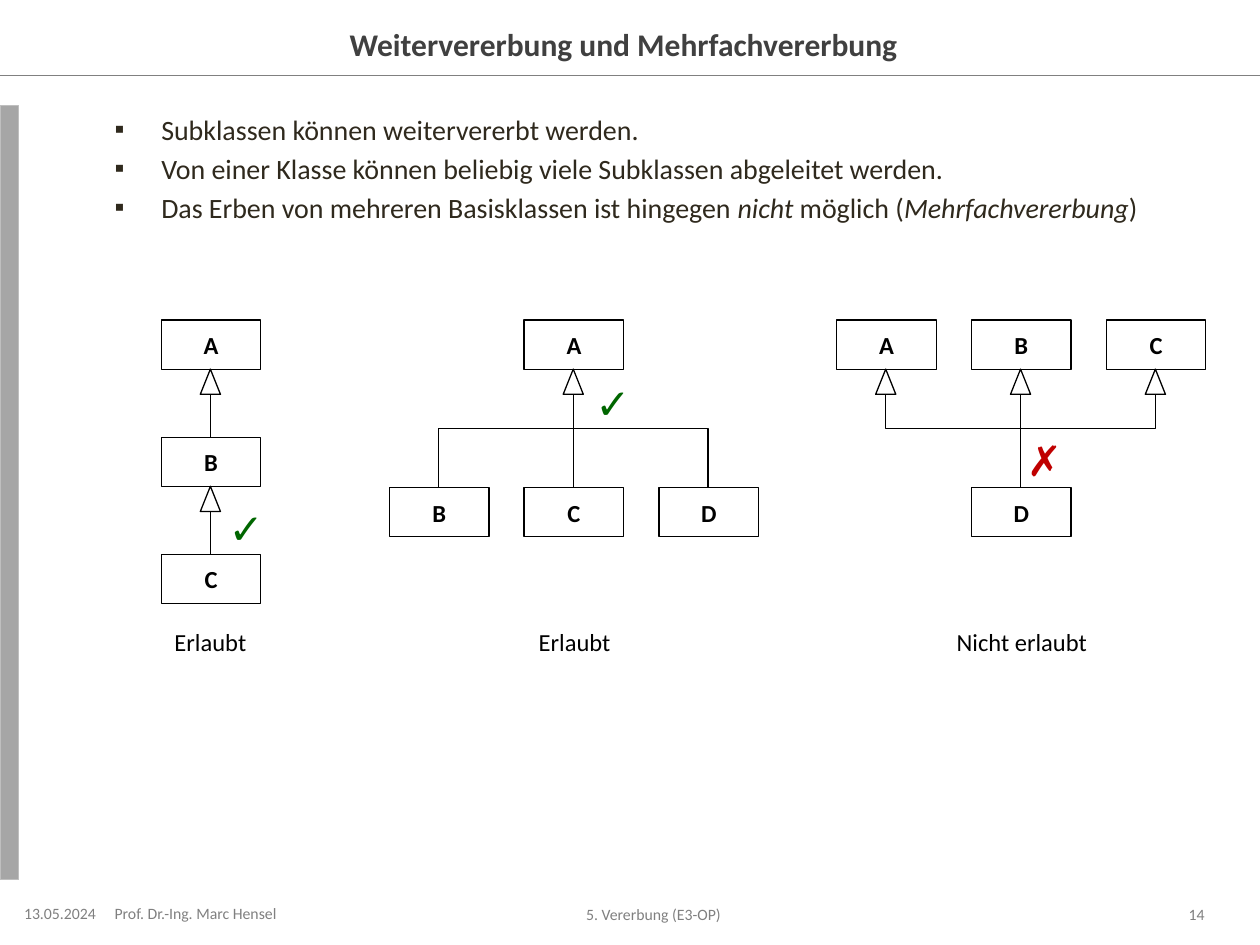
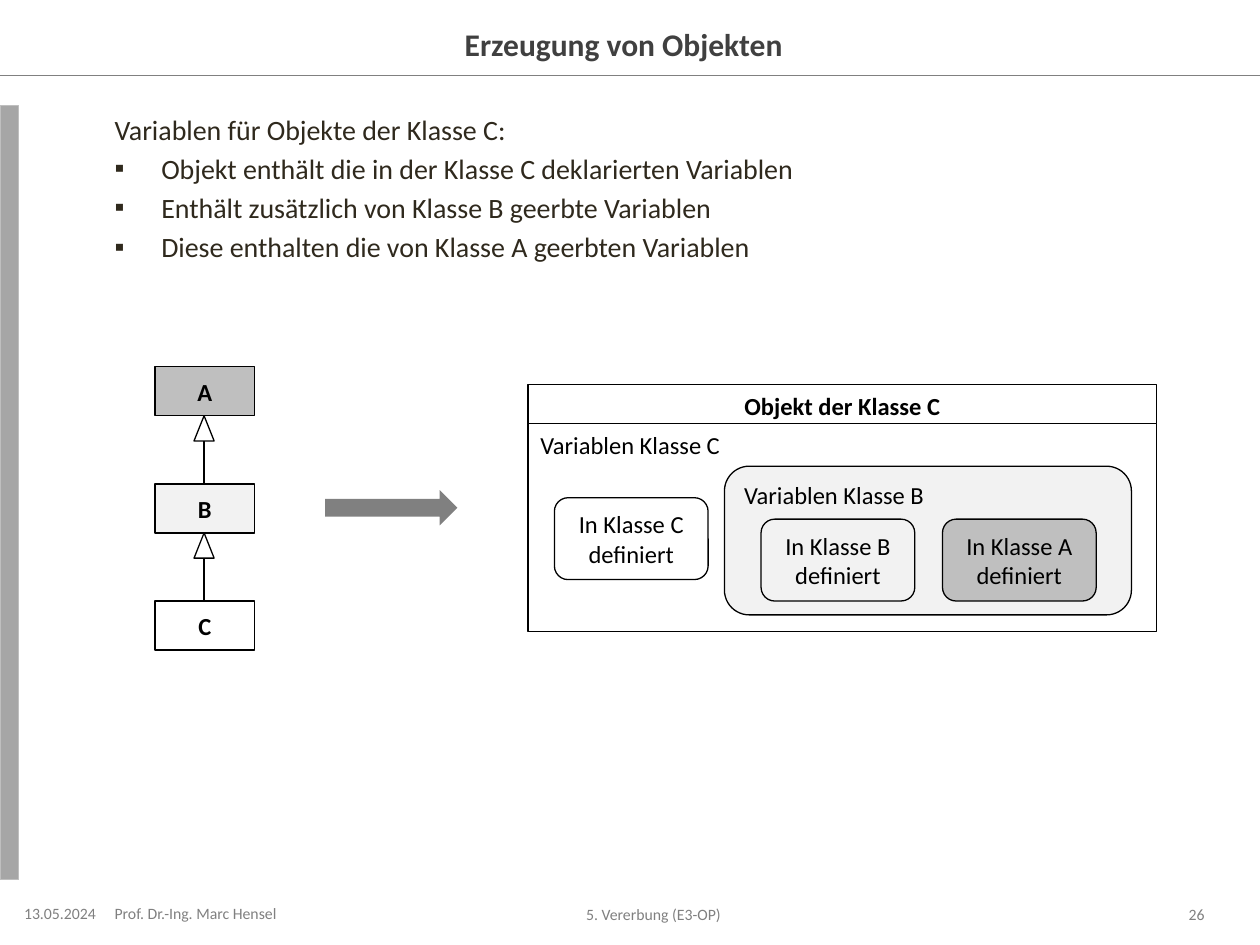
import pptx
import pptx.util
import pptx.dml.color
import pptx.enum.shapes
import pptx.enum.text
import pptx.oxml
import pptx.oxml.ns

PX = 9144
WIDE, HIGH = 79, 39
STEP, GAP = 93, 107

RGB = pptx.dml.color.RGBColor
BLACK = RGB(0x00, 0x00, 0x00)
WHITE = RGB(0xFF, 0xFF, 0xFF)
PALE = RGB(0xF2, 0xF2, 0xF2)
SILVER = RGB(0xBF, 0xBF, 0xBF)
STONE = RGB(0xA6, 0xA6, 0xA6)
GREY = RGB(0x80, 0x80, 0x80)
DARK = RGB(0x40, 0x40, 0x40)
BROWN = RGB(0x2F, 0x29, 0x1D)
GREEN = RGB(0x00, 0x66, 0x00)
RED = RGB(0xC0, 0x00, 0x00)

Pt = pptx.util.Pt
FORM = pptx.enum.shapes.MSO_SHAPE
LINK = pptx.enum.shapes.MSO_CONNECTOR
ALIGN = pptx.enum.text.PP_ALIGN
ANCHOR = pptx.enum.text.MSO_ANCHOR
LEFT, MID, RIGHT = ALIGN.LEFT, ALIGN.CENTER, ALIGN.RIGHT

TITLE = {"name": "Calibri", "size": Pt(18), "bold": True, "color": DARK}
BODY = {"name": "Calibri", "size": Pt(16), "color": BROWN}
PLAIN = {"name": "Calibri", "size": Pt(14), "bold": False, "color": BLACK}
STRONG = {**PLAIN, "bold": True}
SMALL = {"name": "Calibri", "size": Pt(9), "color": GREY}
MARK = {"name": "Roboto", "size": Pt(24), "bold": True}


def px(*nums):
    return [round(num * PX) for num in nums]


def put(item, look):
    for key, val in look.items():
        if key == "color":
            item.color.rgb = val
        else:
            setattr(item, key, val)


def frame(shape, pads=(10, 5, 10, 5), anchor=ANCHOR.TOP, wrap=True):
    sides = ("margin_left", "margin_top", "margin_right", "margin_bottom")
    put(shape.text_frame, {
        **dict(zip(sides, px(*pads))),
        "vertical_anchor": anchor,
        "word_wrap": wrap,
        "auto_size": pptx.enum.text.MSO_AUTO_SIZE.NONE,
    })


def place(shape, area):
    put(shape, dict(zip(("left", "top", "width", "height"), px(*area))))


def write(para, text, look, align=LEFT):
    para.alignment = align
    for num, part in enumerate(text.split("*")):
        if part:
            run = para.add_run()
            run.text = part
            put(run.font, look)
            if num % 2:
                run.font.italic = True


def label(slide, area, text, look, align=MID, **fit):
    box = slide.shapes.add_textbox(*px(*area))
    frame(box, **fit)
    write(box.text_frame.paragraphs[0], text, look, align)


def block(slide, form, area, fill, edge=BLACK):
    shape = slide.shapes.add_shape(form, *px(*area))
    shape.shadow.inherit = False
    shape.fill.solid()
    shape.fill.fore_color.rgb = fill
    if edge is None:
        shape.line.fill.background()
    else:
        put(shape.line, {"width": Pt(0.75), "color": edge})
    return shape


def panel(slide, form, area, fill, text, look=PLAIN, align=MID,
          anchor=ANCHOR.MIDDLE):
    shape = block(slide, form, area, fill)
    frame(shape, anchor=anchor)
    write(shape.text_frame.paragraphs[0], text, look, align)


def line(slide, start, end, kind=LINK.STRAIGHT, color=BLACK):
    wire = slide.shapes.add_connector(kind, *px(*start, *end))
    put(wire.line, {"width": Pt(0.75), "color": color})
    wire.element.spPr.append(pptx.oxml.parse_xml(
        "<a:effectLst %s/>" % pptx.oxml.ns.nsdecls("a")))
    return wire


def elbow(slide, start, end):
    (x1, y1), (x2, y2) = start, end
    midx, midy = (x1 + x2) / 2, (y1 + y2) / 2
    side = 1 if x1 > x2 else -1
    half, rise = side * (y2 - y1) / 2, abs(x2 - x1) / 2
    wire = line(slide, (midx - half, midy - rise),
                (midx + half, midy + rise), LINK.ELBOW)
    turn = 90 if side == 1 else 270
    wire.element.spPr.get_or_add_xfrm().set("rot", str(turn * 60000))


def node(slide, mid, top, name, fill=WHITE):
    area = (mid - WIDE // 2, top, WIDE, HIGH)
    panel(slide, FORM.RECTANGLE, area, fill, name, STRONG)


def tip(slide, mid, top):
    block(slide, FORM.ISOSCELES_TRIANGLE, (mid - 8, top, 16, 20), WHITE)


def chain(slide, mid, top, fills):
    for num, (name, fill) in enumerate(zip("ABC", fills)):
        here = top + num * STEP
        node(slide, mid, here, name, fill)
        if num:
            base = here - STEP + HIGH
            line(slide, (mid, here), (mid, base))
            tip(slide, mid, base)


def tree(slide, mid, top, heads, feet):
    base, low = top + HIGH, top + 133

    def spread(names):
        first = mid - GAP * (len(names) - 1) // 2
        return [first + GAP * num for num in range(len(names))]

    for upper in spread(heads):
        for lower in spread(feet):
            draw = line if upper == lower else elbow
            draw(slide, (upper, base), (lower, low))
    for names, level in ((heads, top), (feet, low)):
        for spot, name in zip(spread(names), names):
            node(slide, spot, level, name)
    for spot in spread(heads):
        tip(slide, spot, base)


def bullet(para, sign):
    props = para._p.get_or_add_pPr()
    props.set("marL", str(37 * PX))
    props.set("indent", str(-37 * PX))
    tags = ['<a:buFont %s typeface="Arial"/>', '<a:buChar %s char="▪"/>']
    for tag in tags if sign else ["<a:buNone %s/>"]:
        props.append(pptx.oxml.parse_xml(tag % pptx.oxml.ns.nsdecls("a")))


def start(deck, title, items, page, intro=None):
    slide = deck.slides.add_slide(deck.slide_layouts[1])
    head, body = slide.placeholders
    place(head, (124, 15, 752, 39))
    frame(head, (0, 5, 10, 5), ANCHOR.MIDDLE)
    write(head.text_frame.paragraphs[0], title, TITLE, MID)
    place(body, (91, 84, 866, 614))
    frame(body, (0, 5, 10, 5))
    rows = ([intro] if intro else []) + items
    for num, text in enumerate(rows):
        text_box = body.text_frame
        para = text_box.add_paragraph() if num else text_box.paragraphs[0]
        bullet(para, text != intro)
        write(para, text, BODY)
    line(slide, (0, 60), (1000, 60), color=GREY)
    block(slide, FORM.RECTANGLE, (0, 84, 15, 614), STONE, SILVER)
    foot = [
        ((248, 718, 551, 15), "5. Vererbung (E3-OP)", MID, (0, 5, 10, 5)),
        ((15, 717, 75, 16), "13.05.2024", MID, (0, 5, 10, 5)),
        ((91, 717, 150, 15), "Prof. Dr.-Ing. Marc Hensel", LEFT, (0, 5, 10, 5)),
        ((892, 718, 64, 15), str(page), RIGHT, (10, 5, 0, 5)),
    ]
    for area, text, align, pads in foot:
        label(slide, area, text, SMALL, align, pads=pads, anchor=ANCHOR.MIDDLE)
    return slide


def derive(deck):
    slide = start(deck, "Weitervererbung und Mehrfachvererbung", [
        "Subklassen können weitervererbt werden.",
        "Von einer Klasse können beliebig viele Subklassen abgeleitet werden.",
        "Das Erben von mehreren Basisklassen ist hingegen *nicht* möglich "
        "(*Mehrfachvererbung*)",
    ], 14)
    chain(slide, 167, 254, [WHITE] * 3)
    tree(slide, 455, 254, "A", "BCD")
    tree(slide, 810, 254, "ABC", "D")
    for area, sign, color in (
        ((172, 394, 47, 50), "✓", GREEN),
        ((463, 295, 47, 50), "✓", GREEN),
        ((808, 340, 42, 50), "✗", RED),
    ):
        label(slide, area, sign, {**MARK, "color": color}, wrap=False)
    for left, text in ((88, "Erlaubt"), (377, "Erlaubt"),
                       (732, "Nicht erlaubt")):
        label(slide, (left, 493, 158, 47), text, PLAIN)


def create(deck):
    slide = start(deck, "Erzeugung von Objekten", [
        "Objekt enthält die in der Klasse C deklarierten Variablen",
        "Enthält zusätzlich von Klasse B geerbte Variablen",
        "Diese enthalten die von Klasse A geerbten Variablen",
    ], 26, "Variablen für Objekte der Klasse C:")
    chain(slide, 162, 291, [SILVER, PALE, WHITE])
    block(slide, FORM.RIGHT_ARROW, (258, 389, 105, 28), GREY, None)
    panel(slide, FORM.RECTANGLE, (419, 305, 499, 31), WHITE,
          "Objekt der Klasse C", STRONG, anchor=ANCHOR.TOP)
    for form, area, fill, name in (
        (FORM.RECTANGLE, (419, 336, 499, 165), WHITE, "C"),
        (FORM.ROUNDED_RECTANGLE, (575, 370, 323, 118), PALE, "B"),
    ):
        panel(slide, form, area, fill, "Variablen Klasse " + name,
              align=LEFT, anchor=ANCHOR.TOP)
    for left, top, fill, name in ((440, 395, WHITE, "C"),
                                  (604, 412, PALE, "B"),
                                  (748, 412, SILVER, "A")):
        panel(slide, FORM.ROUNDED_RECTANGLE, (left, top, 122, 65), fill,
              "In Klasse %s definiert" % name)


def main():
    deck = pptx.Presentation()
    deck.slide_width, deck.slide_height = px(1000, 750)
    derive(deck)
    create(deck)
    deck.save("out.pptx")


if __name__ == "__main__":
    main()
